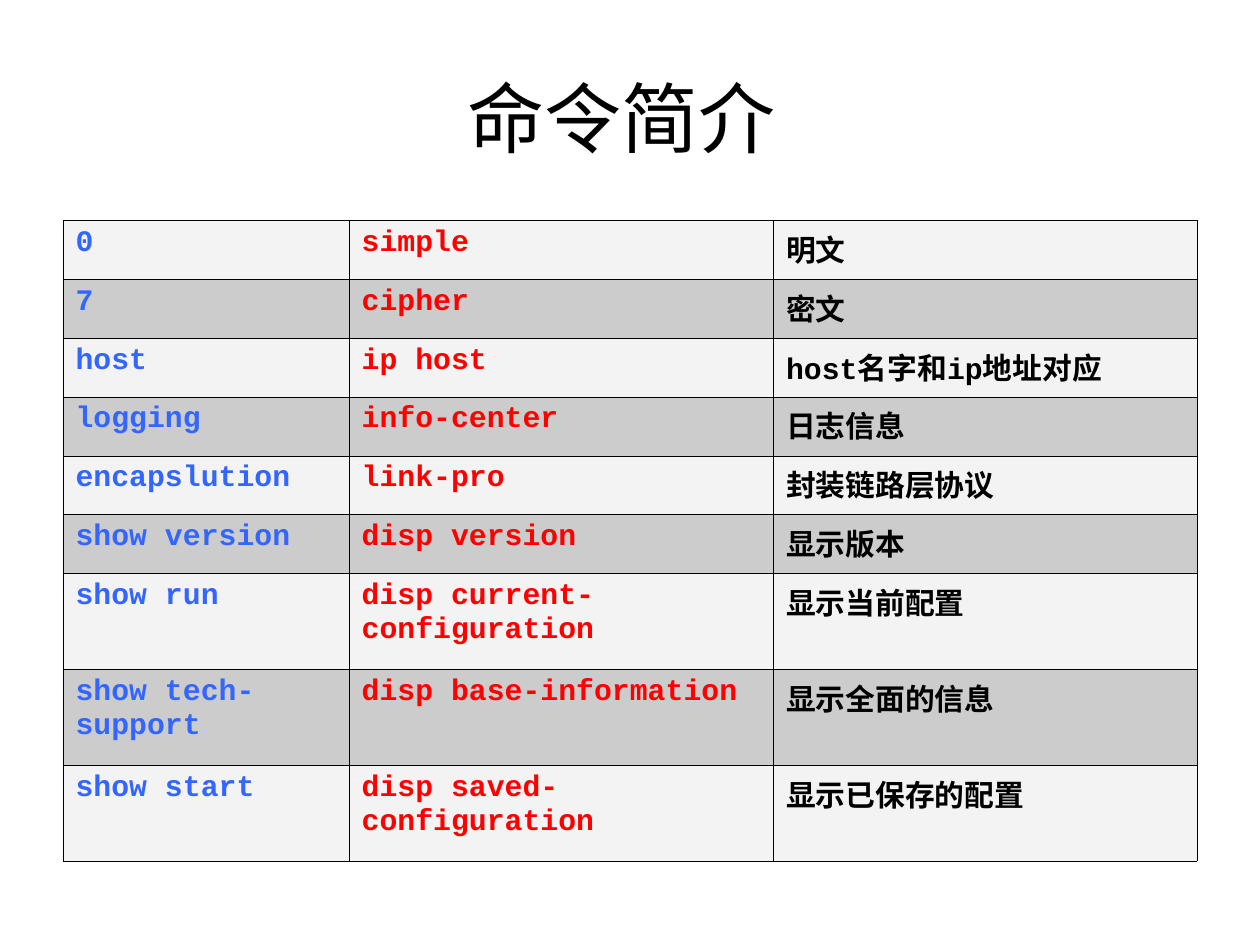
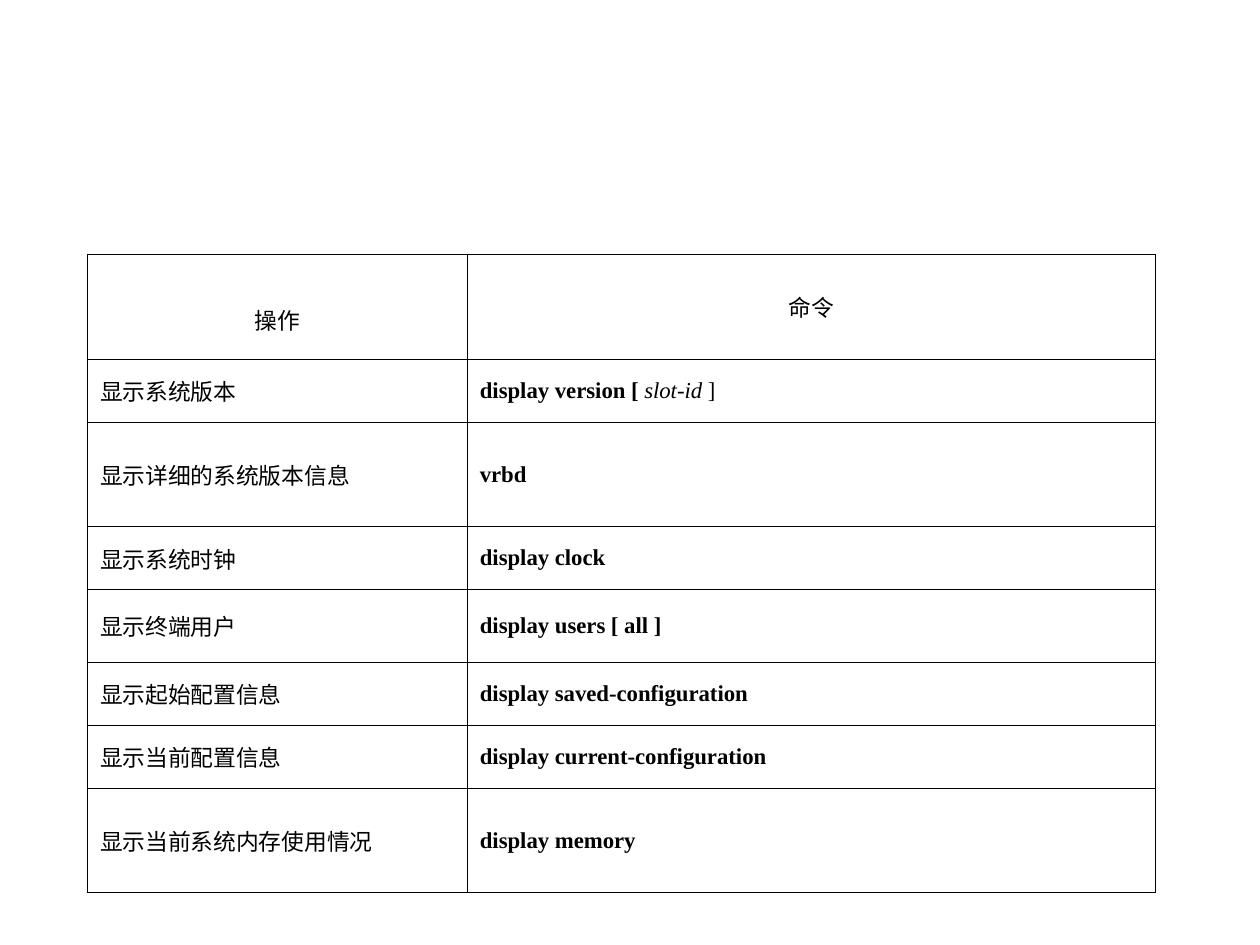
from lxml import etree
from pptx import Presentation
from pptx.dml.color import RGBColor
from pptx.enum.text import MSO_ANCHOR, PP_ALIGN
from pptx.oxml.ns import qn
from pptx.util import Pt

LEFT, CENTER = PP_ALIGN.LEFT, PP_ALIGN.CENTER
TOP, MIDDLE = MSO_ANCHOR.TOP, MSO_ANCHOR.MIDDLE
TITLE_ONLY, BLANK = 5, 6

# Shared colours and fonts
BLACK, BLUE, RED = "000000", "3366FF", "FF0000"
BANDS = ("F3F3F3", "CCCCCC")
SANS, SERIF, MONO = "Arial", "Times New Roman", "Courier New"
HAN = "Noto Sans CJK SC"

# Old command, new command, meaning
TERMS = [
    ("0", "simple", "明文"),
    ("7", "cipher", "密文"),
    ("host", "ip host", "host名字和ip地址对应"),
    ("logging", "info-center", "日志信息"),
    ("encapslution", "link-pro", "封装链路层协议"),
    ("show version", "disp version", "显示版本"),
    ("show run", "disp current-configuration", "显示当前配置"),
    ("show tech-support", "disp base-information", "显示全面的信息"),
    ("show start", "disp saved-configuration", "显示已保存的配置"),
]

# Task, command, row height
TASKS = [
    ("显示系统版本", "display version [ ", 36),
    ("显示详细的系统版本信息", "vrbd", 59.5),
    ("显示系统时钟", "display clock", 36),
    ("显示终端用户", "display users [ all ]", 41.5),
    ("显示起始配置信息", "display saved-configuration", 36),
    ("显示当前配置信息", "display current-configuration", 36),
    ("显示当前系统内存使用情况", "display memory", 59.5),
]


def rgb(code):
    return RGBColor.from_string(code)


def write(para, text, size=13, font=SANS, color=BLACK, bold=False,
          italic=False, align=LEFT):
    """Add one formatted run to a paragraph."""
    para.alignment = align
    run = para.add_run()
    run.text = text
    face = run.font
    face.size, face.name = Pt(size), font
    face.bold, face.italic = bold, italic
    face.color.rgb = rgb(color)
    asian = etree.SubElement(run._r.get_or_add_rPr(), qn("a:ea"))
    asian.set("typeface", HAN)


def edge(cell, color, width):
    """Draw all four borders of a cell."""
    props = cell._tc.get_or_add_tcPr()
    for side in ("lnL", "lnR", "lnT", "lnB"):
        line = etree.SubElement(props, qn("a:" + side), w=str(Pt(width)))
        fill = etree.SubElement(line, qn("a:solidFill"))
        etree.SubElement(fill, qn("a:srgbClr"), val=color)


def grid(slide, box, cols, rows, line, width, anchor, bands=None):
    """Add a ruled table, with row colours in turn if given."""
    frame = slide.shapes.add_table(len(rows), len(cols), *map(Pt, box))
    table = frame.table
    table.first_row = table.horz_banding = False
    for col, size in zip(table.columns, cols):
        col.width = Pt(size)
    for i, (row, size) in enumerate(zip(table.rows, rows)):
        row.height = Pt(size)
        for cell in row.cells:
            edge(cell, line, width)
            cell.vertical_anchor = anchor
            if bands:
                cell.fill.solid()
                cell.fill.fore_color.rgb = rgb(bands[i % len(bands)])
            else:
                cell.fill.background()
    return table


def head(slide, text, box):
    """Place and fill the title."""
    title = slide.shapes.title
    title.left, title.top, title.width, title.height = map(Pt, box)
    frame = title.text_frame
    frame.word_wrap = True
    frame.vertical_anchor = MIDDLE
    write(frame.paragraphs[0], text, size=44, align=CENTER)


def terms(slide, box):
    """Table that pairs the two command sets."""
    rows = [33.6] * 6 + [54.9] * 3
    table = grid(slide, box, (163.5, 242.5, 242), rows, "010000", 0.06,
                 TOP, BANDS)
    styles = ((MONO, BLUE), (MONO, RED), (MONO, BLACK))
    for r, words in enumerate(TERMS):
        for c, (text, (font, color)) in enumerate(zip(words, styles)):
            # Cells without Latin letters take the Han font throughout
            face = font if text[0].isascii() else HAN
            write(table.cell(r, c).text_frame.paragraphs[0], text,
                  size=17, font=face, color=color, bold=True)


def tasks(slide, box):
    """Table of tasks and display commands."""
    rows = [60] + [task[2] for task in TASKS]
    table = grid(slide, box, (217, 393), rows, BLACK, 0.45, MIDDLE)

    # Heading row, with the first label set lower
    for c, text in enumerate(("操作", "命令")):
        write(table.cell(0, c).text_frame.paragraphs[0], text, align=CENTER)
    table.cell(0, 0).margin_top = Pt(18.4)

    for r, (task, order, _) in enumerate(TASKS, 1):
        write(table.cell(r, 0).text_frame.paragraphs[0], task)
        write(table.cell(r, 1).text_frame.paragraphs[0], order,
              font=SERIF, bold=True)

    # Optional argument of the version command
    para = table.cell(1, 1).text_frame.paragraphs[0]
    write(para, "slot-id ", font=SERIF, italic=True)
    write(para, "]", font=SERIF)


def main():
    deck = Presentation()
    deck.slide_width, deck.slide_height = Pt(720), Pt(540)

    slide = deck.slides.add_slide(deck.slide_layouts[TITLE_ONLY])
    head(slide, "命令简介 ", (36, 21.6, 648, 90))
    terms(slide, (36, 126, 648, 366.3))

    slide = deck.slides.add_slide(deck.slide_layouts[BLANK])
    tasks(slide, (50, 145.5, 610, 364.5))

    deck.save("out.pptx")


if __name__ == "__main__":
    main()
